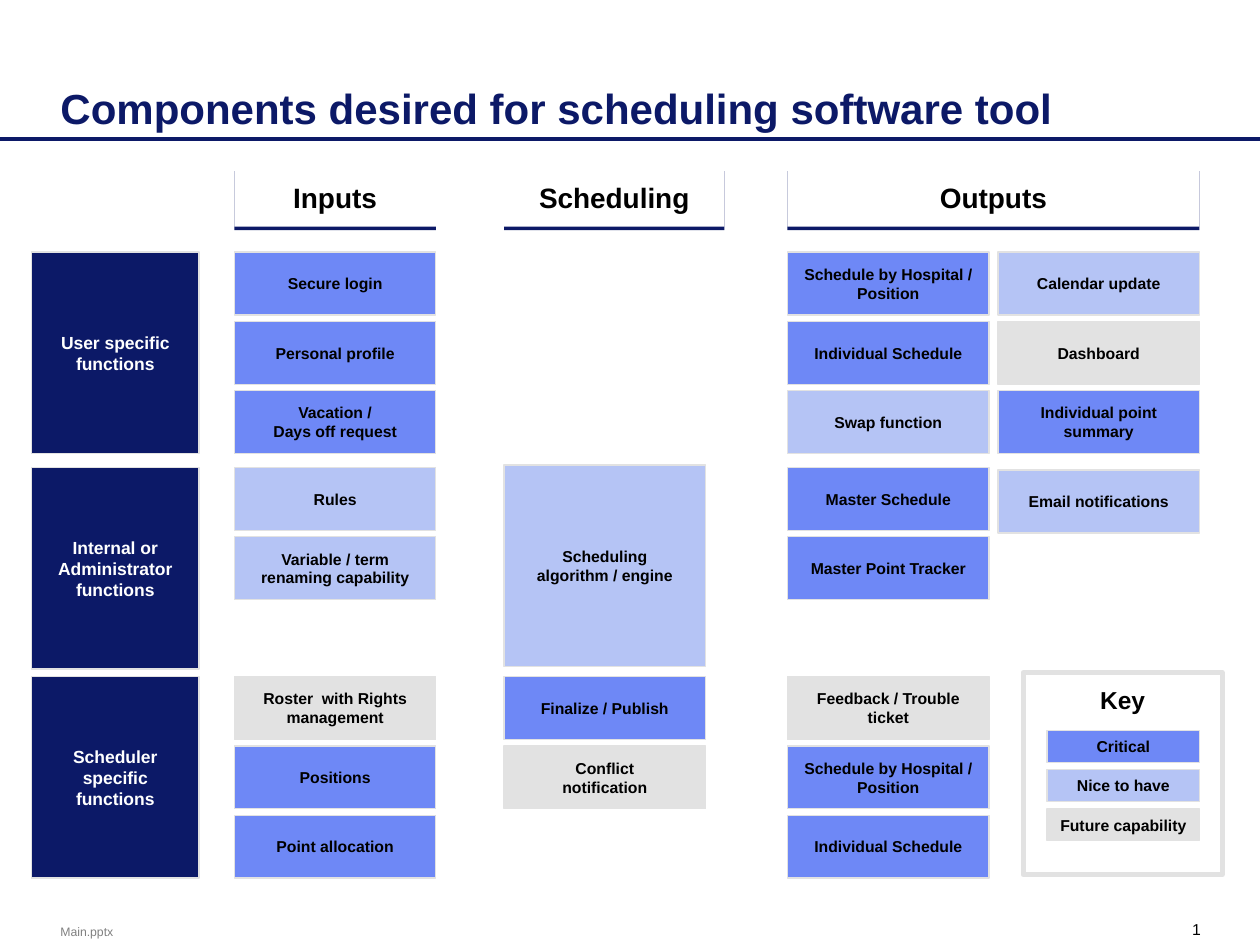
from lxml.etree import SubElement
from pptx import Presentation
from pptx.dml.color import RGBColor
from pptx.enum.shapes import MSO_CONNECTOR as Connector, MSO_SHAPE as Shape
from pptx.enum.text import MSO_ANCHOR as Anchor, PP_ALIGN as Align
from pptx.oxml.ns import qn
from pptx.util import Inches, Pt

NAVY = RGBColor(0x0C, 0x19, 0x67)
CRITICAL = RGBColor(0x6E, 0x88, 0xF6)
NICE = RGBColor(0xB5, 0xC4, 0xF5)
FUTURE = RGBColor(0xE2, 0xE2, 0xE2)
BORDER = FUTURE
GRAY = RGBColor(0x80, 0x80, 0x80)
BLACK = RGBColor(0, 0, 0)
WHITE = RGBColor(0xFF, 0xFF, 0xFF)

FONT = "Arial"
INPUTS, SCHEDULING, OUTPUTS, MORE_OUTPUTS = 1.86, 4, 6.25, 7.92
USER, ADMIN, SCHEDULER = 2, 3.71, 5.37
BOX_WIDTH, BOX_HEIGHT, ROW_PITCH = 1.6, 0.5, 0.55
GROUP_WIDTH, GROUP_HEIGHT = 1.33, 1.6

HEADERS = [
    ("Inputs", INPUTS, 1.6),
    ("Scheduling", SCHEDULING, 1.75),
    ("Outputs", OUTPUTS, 3.27),
]
GROUPS = [
    ("User specific\nfunctions", USER),
    ("Internal or Administrator\nfunctions", ADMIN),
    ("Scheduler\nspecific\nfunctions", SCHEDULER),
]
STACKS = [
    (INPUTS, USER, [("Secure login", CRITICAL), ("Personal profile", CRITICAL),
                    ("Vacation /\nDays off request", CRITICAL)]),
    (INPUTS, ADMIN, [("Rules", NICE), ("Variable / term renaming capability", NICE)]),
    (INPUTS, SCHEDULER, [("Roster  with Rights management", FUTURE),
                         ("Positions", CRITICAL), ("Point allocation", CRITICAL)]),
    (SCHEDULING, SCHEDULER, [("Finalize / Publish", CRITICAL),
                             ("Conflict\nnotification", FUTURE)]),
    (OUTPUTS, USER, [("Schedule by Hospital / Position", CRITICAL),
                     ("Individual Schedule", CRITICAL), ("Swap function", NICE)]),
    (OUTPUTS, ADMIN, [("Master Schedule", CRITICAL), ("Master Point Tracker", CRITICAL)]),
    (OUTPUTS, SCHEDULER, [("Feedback / Trouble ticket", FUTURE),
                          ("Schedule by Hospital / Position", CRITICAL),
                          ("Individual Schedule", CRITICAL)]),
    (MORE_OUTPUTS, USER, [("Calendar update", NICE), ("Dashboard", FUTURE),
                          ("Individual point summary", CRITICAL)]),
    (MORE_OUTPUTS, 3.73, [("Email notifications", NICE)]),
]
KEY = [("Critical", CRITICAL), ("Nice to have", NICE), ("Future capability", FUTURE)]


def write_text(shape, text, size, color, bold=True, align=Align.CENTER,
               anchor=Anchor.MIDDLE, margins=(0.1, 0.1), wrap=True):
    """Fill a shape with one paragraph per line of text."""
    frame = shape.text_frame
    frame.word_wrap = wrap
    frame.vertical_anchor = anchor
    frame.margin_left = frame.margin_right = Inches(margins[0])
    frame.margin_top = frame.margin_bottom = Inches(margins[1])
    for index, line in enumerate(text.split("\n")):
        paragraph = frame.add_paragraph() if index else frame.paragraphs[0]
        paragraph.alignment = align
        run = paragraph.add_run()
        run.text = line
        run.font.name = FONT
        run.font.size = Pt(size)
        run.font.bold = bold
        run.font.color.rgb = color


def add_label(slide, text, left, top, width, height, size, color, **style):
    """Add a text box."""
    shape = slide.shapes.add_textbox(Inches(left), Inches(top), Inches(width), Inches(height))
    write_text(shape, text, size, color, **style)


def add_box(slide, text, left, top, width, height, fill, size=9, color=BLACK,
            border=0.75, anchor=Anchor.MIDDLE):
    """Add a rectangle with centred bold text."""
    shape = slide.shapes.add_shape(
        Shape.RECTANGLE, Inches(left), Inches(top), Inches(width), Inches(height))
    shape.shadow.inherit = False
    if fill is None:
        shape.fill.background()
    else:
        shape.fill.solid()
        shape.fill.fore_color.rgb = fill
    if border:
        shape.line.color.rgb = BORDER
        shape.line.width = Pt(border)
    else:
        shape.line.fill.background()
    write_text(shape, text, size, color, anchor=anchor)
    return shape


def add_header(slide, text, left, width):
    """Add a column heading underlined by a sharp navy shadow."""
    shape = add_box(slide, text, left, 1.33, width, 0.47, WHITE, size=16,
                    border=0, anchor=Anchor.BOTTOM)
    effects = shape.element.spPr.find(qn("a:effectLst"))
    shadow = SubElement(effects, qn("a:outerShdw"), blurRad="0", dist=str(Pt(2)),
                        dir="5400000", algn="ctr", rotWithShape="0")
    SubElement(shadow, qn("a:srgbClr"), val=str(NAVY))


def add_rule(slide, top):
    """Add the full-width line below the title."""
    rule = slide.shapes.add_connector(
        Connector.STRAIGHT, Inches(10), Inches(top), Inches(0), Inches(top))
    rule.line.color.rgb = NAVY
    rule.line.width = Pt(2.25)
    SubElement(rule.element.spPr, qn("a:effectLst"))


def add_key(slide):
    """Add the framed colour key."""
    add_box(slide, "Key", 8.12, 5.34, 1.58, 1.6, None, size=14, border=3, anchor=Anchor.TOP)
    for row, (text, fill) in enumerate(KEY):
        add_box(slide, text, 8.31, 5.8 + row * 0.31, 1.21, 0.25, fill)


def main():
    """Build the slide and save it."""
    presentation = Presentation()
    presentation.slide_width = Inches(10)
    presentation.slide_height = Inches(7.5)
    slide = presentation.slides.add_slide(presentation.slide_layouts[6])

    add_rule(slide, 1.1)
    add_label(slide, "Main.pptx", 0.48, 7.33, 1.69, 0.12, 7, GRAY,
              bold=False, align=Align.LEFT, margins=(0, 0))
    add_label(slide, "Components desired for scheduling software tool",
              0.48, 0.19, 9.05, 0.91, 24, NAVY, align=Align.LEFT,
              anchor=Anchor.BOTTOM, margins=(0, 0.05))
    add_label(slide, "1", 9.34, 7.3, 0.19, 0.15, 9, BLACK, bold=False,
              align=Align.RIGHT, anchor=Anchor.TOP, margins=(0, 0), wrap=False)

    for text, left, width in HEADERS:
        add_header(slide, text, left, width)
    for text, top in GROUPS:
        add_box(slide, text, 0.25, top, GROUP_WIDTH, GROUP_HEIGHT, NAVY, size=10, color=WHITE)
    add_box(slide, "Scheduling\nalgorithm / engine", SCHEDULING, 3.69,
            BOX_WIDTH, GROUP_HEIGHT, NICE)
    for left, top, boxes in STACKS:
        for row, (text, fill) in enumerate(boxes):
            add_box(slide, text, left, top + row * ROW_PITCH, BOX_WIDTH, BOX_HEIGHT, fill)
    add_key(slide)

    presentation.save("out.pptx")


if __name__ == "__main__":
    main()
